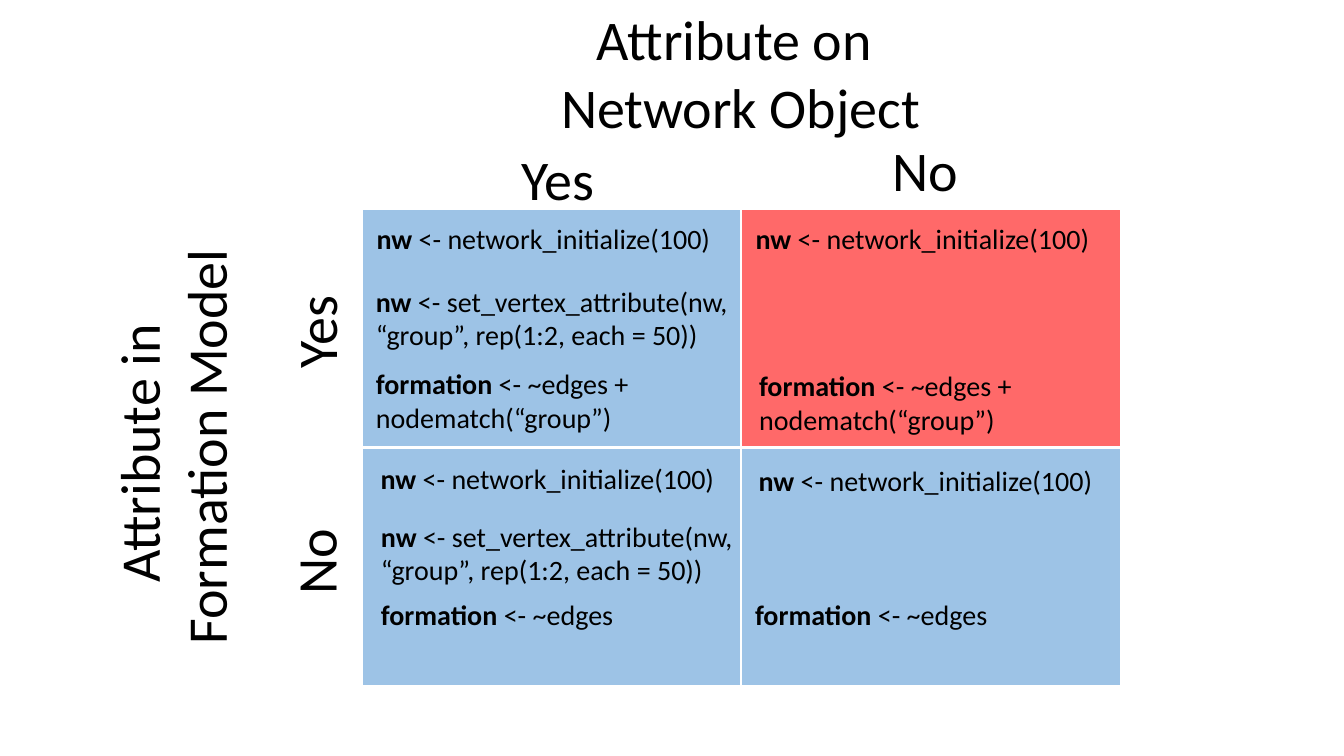
from lxml import etree
from pptx import Presentation
from pptx import util as u
from pptx.dml import color
from pptx.enum import text
from pptx.oxml import ns

BLUE, RED, WHITE, BLACK = "9DC3E6", "FF0000", "FFFFFF", "000000"
GRID = (3.59, 2.08, 7.52, 4.72)
HEADING, CODE = 40, 20
CENTER, LEFT = text.PP_ALIGN.CENTER, text.PP_ALIGN.LEFT

INITIALIZE = [[("nw", True), (" <- network_initialize(100)", False)]]
SET_GROUP = [[("nw", True), (" <- set_vertex_attribute(nw, “group”, rep(1:2, each = 50))", False)]]
EDGES = [[("formation", True), (" <- ~edges", False)]]
NODEMATCH = [[("formation", True), (" <- ~edges + ", False)],
             [("nodematch(“group”)", False)]]


def rgb(value):
    return color.RGBColor.from_string(value)


def apply(target, formats):
    for name, value in formats.items():
        setattr(target, name, value)


def add_text(slide, box, lines, size, align=CENTER, wrap=True, rotation=0):
    label = slide.shapes.add_textbox(*map(u.Inches, box))
    label.rotation = rotation
    frame = label.text_frame
    apply(frame, {"word_wrap": wrap, "auto_size": text.MSO_AUTO_SIZE.SHAPE_TO_FIT_TEXT})
    for index, line in enumerate(lines):
        paragraph = frame.add_paragraph() if index else frame.paragraphs[0]
        paragraph.alignment = align
        for words, bold in line:
            run = paragraph.add_run()
            run.text = words
            apply(run.font, {"name": "Calibri", "size": u.Pt(size), "bold": bold})
            run.font.color.rgb = rgb(BLACK)


def add_borders(cell, widths):
    properties = cell._tc.get_or_add_tcPr()
    for index, (side, width) in enumerate(widths.items()):
        line = etree.Element(ns.qn("a:ln" + side), w=str(u.Pt(width)))
        fill = etree.SubElement(line, ns.qn("a:solidFill"))
        etree.SubElement(fill, ns.qn("a:srgbClr"), val=WHITE)
        properties.insert(index, line)


def draw_grid(slide, box):
    table = slide.shapes.add_table(2, 2, *map(u.Inches, box)).table
    apply(table, {"first_row": False, "horz_banding": False})
    for row in range(2):
        table.rows[row].height = u.Inches(box[3] / 2)
        for column in range(2):
            table.columns[column].width = u.Inches(box[2] / 2)
            cell = table.cell(row, column)
            conflict = (row, column) == (0, 1)
            cell.fill.solid()
            cell.fill.fore_color.rgb = rgb(RED if conflict else BLUE)
            if conflict:
                tint = cell._tc.tcPr.find(".//" + ns.qn("a:srgbClr"))
                etree.SubElement(tint, ns.qn("a:alpha"), val="59000")
            divider = 3
            add_borders(cell, {"L": 1, "R": 1, "T": divider if row else 1,
                               "B": 1 if row else divider})


def draw_code(slide, box, initialize, formation, model, set_group=None):
    left, top = box[:2]
    parts = [(INITIALIZE, initialize, 3.6, 0.44, CENTER),
             (model, formation, 3.81, 0.44 if model is EDGES else 0.77, LEFT)]
    if set_group:
        parts.insert(1, (SET_GROUP, set_group, 3.81, 0.77, LEFT))
    for lines, (dx, dy), width, height, align in parts:
        add_text(slide, (left + dx, top + dy, width, height), lines, CODE, align)


def draw_quadrants(slide, box):
    left, top, width, height = box
    quadrants = [
        (0, 0, (0, 0.07), (0.04, 1.51), NODEMATCH, (0.04, 0.69)),
        (0, 1, (0, 0.07), (0.08, 1.53), NODEMATCH),
        (1, 0, (0.04, 0.09), (0.09, 1.44), EDGES, (0.09, 0.66)),
        (1, 1, (0.03, 0.11), (0.04, 1.44), EDGES),
    ]
    for row, column, *code in quadrants:
        cell = (left + column * width / 2, top + row * height / 2, width / 2, height / 2)
        draw_code(slide, cell, *code)


def draw_axis(slide, box, title, title_at, answers, rotation=0):
    left, top = box[:2]

    def place(words, at, size, wrap):
        lines = [[(line, False)] for line in words]
        add_text(slide, (left + at[0], top + at[1], *size), lines, HEADING,
                 wrap=wrap, rotation=rotation)

    place(title, title_at, (5.01, 1.45), True)
    for answer, width, at in zip(("Yes", "No"), (0.93, 0.86), answers):
        place([answer], at, (width, 0.77), False)


def build():
    deck = Presentation()
    apply(deck, {"slide_width": u.Inches(13.33), "slide_height": u.Inches(7.5)})
    slide = deck.slides.add_slide(deck.slide_layouts[6])
    draw_grid(slide, GRID)
    draw_axis(slide, GRID, ["Attribute in ", "Formation Model"], (-4.39, 1.63),
              [(-0.93, 0.83), (-0.9, 3.11)], 270)
    draw_axis(slide, GRID, ["Attribute on ", "Network Object"], (1.25, -2.08),
              [(1.48, -0.7), (5.16, -0.78)])
    draw_quadrants(slide, GRID)
    deck.save("out.pptx")


build()
